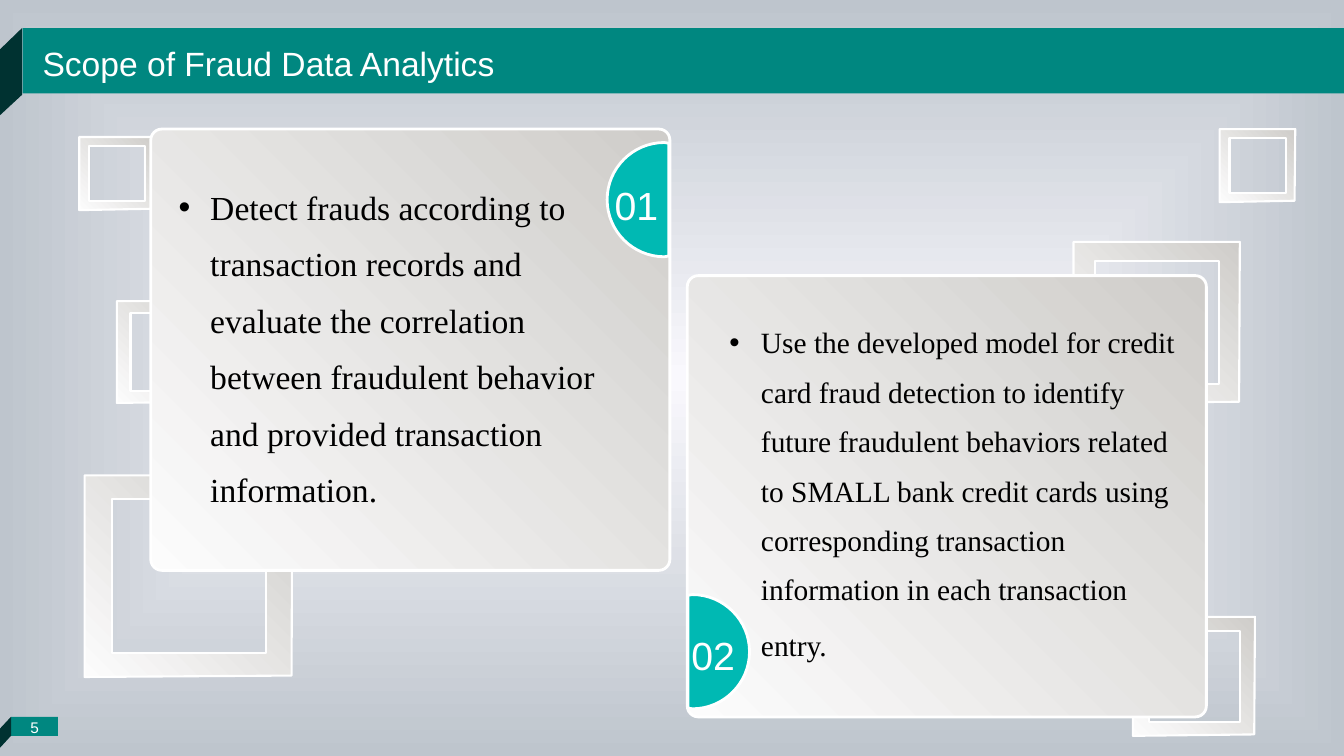
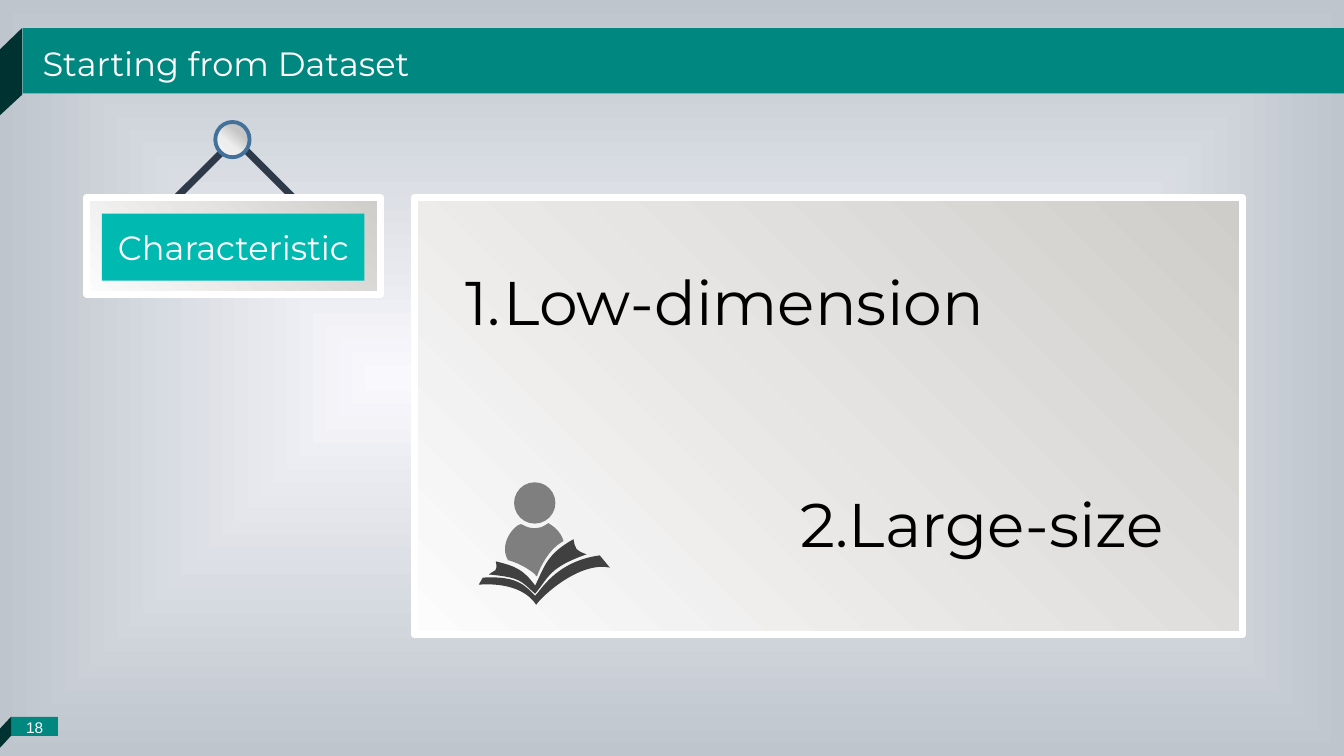
from dataclasses import dataclass

from lxml import etree
from pptx import Presentation
from pptx import util as u
from pptx.dml.color import RGBColor
from pptx.enum import shapes, text
from pptx.oxml.ns import qn

HUES = {
    "band": "008780", "fold": "003231", "teal": "00B9B3", "sign": "00B9B1",
    "white": "FFFFFF", "black": "000000", "rope": "2E3A49", "ring": "42719B",
    "page": "404040", "body": "7F7F7F",
}
SANS, SERIF, ROUND = "Arial", "Times New Roman", "Montserrat"
KINDS = shapes.MSO_SHAPE
ALIGN = text.PP_ALIGN


@dataclass(frozen=True)
class Grad:
    stops: tuple
    angle: float | None = None  # None gives a rectangular gradient


@dataclass(frozen=True)
class Box:
    left: float
    top: float
    width: float
    height: float

    def pts(self) -> list:
        return [u.Pt(n) for n in (self.left, self.top, self.width, self.height)]


@dataclass(frozen=True)
class Card:
    box: Box
    body: Box
    words: str
    size: float
    hub: tuple  # centre of the half disc
    side: int  # 1: flat edge on the right, -1: on the left
    label: str
    spot: Box
    tail: float = 0  # size of a closing hard space


SKY = Grad(((0, "F9F8FD"), (100, "BEC5CD")))
SILVER = Grad(((0, "FCFCFC"), (100, "CFCDCA")), 315)
KNOB = Grad(((0, "BFBFBF"), (30, "C6C6C6"), (61, "EEEEEE"), (100, "F4F4F4")), 130)

FRAMES = [
    Box(809.3, 440.6, 87.1, 85), Box(766.8, 172.8, 118.8, 115.2),
    Box(56.6, 97.9, 54, 52.2), Box(83.5, 215.1, 74.9, 72.7),
    Box(60.5, 339.6, 148.3, 144), Box(871.2, 92.2, 54, 52.2),
]
CARDS = [
    Card(Box(107.7, 92.2, 370.8, 315.2), Box(120.6, 118.4, 329, 247.7),
         "Detect frauds according to transaction records and evaluate the "
         "correlation between fraudulent behavior and provided transaction "
         "information.",
         24, (474.5, 142.6), 1, "01", Box(432, 126, 47.5, 41)),
    Card(Box(490.9, 196.9, 370.8, 315.2), Box(514, 218.2, 338.4, 257.8),
         "Use the developed model for credit card fraud detection to identify "
         "future fraudulent behaviors related to SMALL bank credit cards using "
         "corresponding transaction information in each transaction entry.",
         21, (494.6, 465.5), -1, "02", Box(486.7, 447.1, 47.5, 41), 24),
]
RADIUS = 40.8

# Outlines: two numbers are a corner, six are a Bezier curve.
LEAVES = [
    (409.7, 385.2),
    (390.2, 396, 388.8, 405.4, 382.3, 418.3),
    (373.7, 406.8, 368.6, 404.6, 354.2, 401),
    (355.7, 409, 353.5, 406.8, 349.2, 410.4),
    (372.2, 412.6, 371.5, 414.7, 382.3, 424.1),
    (392.4, 411.8, 392.4, 405.4, 419, 396),
    (411.1, 393.1, 411.1, 392.4, 409.7, 385.2),
]
COVER = [
    (428.4, 396.7),
    (396.7, 401, 385.9, 422.6, 382.3, 425.5),
    (375.1, 418.3, 369.4, 411.1, 344.9, 412.6),
    (342, 417.6),
    (362.2, 416.2, 376.6, 421.9, 383, 432),
    (387.4, 425.5, 414, 401, 435.6, 405.4),
]
TORSO = [
    (391.7, 373.7), (393.8, 375.1),
    (397.4, 377.3, 400.3, 380.9, 401.8, 384.5),
    (402.5, 386.6), (401, 387.4),
    (392.4, 392.4, 385.9, 404.6, 383.8, 411.1),
    (383, 411.8), (382.3, 410.4),
    (377.3, 406.1, 370.8, 402.5, 363.6, 400.3),
    (362.9, 400.3),
    (361.4, 397.4, 360.7, 395.3, 360.7, 392.4),
    (360.7, 385.2, 365, 378.7, 370.1, 375.1),
    (372.2, 374.4), (373.7, 375.1),
    (376.6, 376.6, 378.7, 377.3, 381.6, 377.3),
    (384.5, 377.3, 387.4, 376.6, 389.5, 375.1),
]


def shade(fill, root, grad: Grad) -> None:
    """Give the fill, found below root, a gradient."""
    fill.gradient()
    node = root.find(".//" + qn("a:gradFill"))
    node.clear()
    node.set("rotWithShape", "1")
    stops = etree.SubElement(node, qn("a:gsLst"))
    for place, hue in grad.stops:
        stop = etree.SubElement(stops, qn("a:gs"), pos=str(place * 1000))
        etree.SubElement(stop, qn("a:srgbClr"), val=hue)
    if grad.angle is None:
        rect = etree.SubElement(node, qn("a:path"), path="rect")
        etree.SubElement(rect, qn("a:fillToRect"),
                         l="50000", t="-80000", r="50000", b="-80000")
    else:
        etree.SubElement(node, qn("a:lin"), ang=str(grad.angle * 60000), scaled="0")


def paint(shape, fill: str | Grad, line: str | None = None, width: float = 0):
    shape.shadow.inherit = False
    if isinstance(fill, Grad):
        shade(shape.fill, shape._element.spPr, fill)
    else:
        shape.fill.solid()
        shape.fill.fore_color.rgb = RGBColor.from_string(HUES[fill])
    if line:
        shape.line.color.rgb = RGBColor.from_string(HUES[line])
        shape.line.width = u.Pt(width)
    else:
        shape.line.fill.background()
    return shape


def block(slide, box: Box, fill: str | Grad, line: str | None = None,
          width: float = 0, kind=KINDS.RECTANGLE):
    return paint(slide.shapes.add_shape(kind, *box.pts()), fill, line, width)


def bend(shape, steps: list) -> None:
    """Turn the line segments that stand for curves into curves."""
    lines = list(shape._element.iter(qn("a:lnTo")))
    for line, step in zip(lines, steps):
        if len(step) == 6:
            curve = etree.Element(qn("a:cubicBezTo"))
            for x, y in zip(step[::2], step[1::2]):
                etree.SubElement(curve, qn("a:pt"), x=str(u.Pt(x) - shape.left),
                                 y=str(u.Pt(y) - shape.top))
            line.getparent().replace(line, curve)


def free(slide, loops: list, fill: str | Grad, line: str | None = None,
         width: float = 0):
    ends = [[(u.Pt(step[-2]), u.Pt(step[-1])) for step in loop] for loop in loops]
    pen = slide.shapes.build_freeform(*ends[0][0])
    pen.add_line_segments(ends[0][1:])
    for dots in ends[1:]:
        pen.move_to(*dots[0])
        pen.add_line_segments(dots[1:])
    shape = pen.convert_to_shape()
    bend(shape, [step for loop in loops for step in loop[1:]])
    return paint(shape, fill, line, width)


def write(shape, words: str, *, size: float, font: str = SANS,
          hue: str = "white", align=ALIGN.LEFT, more: bool = False,
          wrap: bool = True, pad: tuple = (7.2, 3.6), space: float = 1,
          before: float = 0, mark: str = "", indent: float = 0,
          tail: float = 0) -> None:
    """Write one paragraph; with more set, add it below the text there is."""
    frame = shape.text_frame
    frame.auto_size = text.MSO_AUTO_SIZE.NONE
    frame.word_wrap = wrap
    frame.vertical_anchor = text.MSO_ANCHOR.TOP
    frame.margin_left = frame.margin_right = u.Pt(pad[0])
    frame.margin_top = frame.margin_bottom = u.Pt(pad[1])
    para = frame.add_paragraph() if more else frame.paragraphs[0]
    para.alignment = align
    para.line_spacing = space
    if before:
        para.space_before = u.Pt(before)
    if mark:
        props = para._p.get_or_add_pPr()
        props.set("marL", str(u.Pt(indent)))
        props.set("indent", str(-u.Pt(indent)))
        if mark == "1.":
            etree.SubElement(props, qn("a:buFont"), typeface="+mj-lt")
            etree.SubElement(props, qn("a:buAutoNum"), type="arabicPeriod")
        else:
            etree.SubElement(props, qn("a:buFont"), typeface=SANS)
            etree.SubElement(props, qn("a:buChar"), char=mark)
    parts = [(words, size), (" ", tail)] if tail else [(words, size)]
    for part, high in parts:
        run = para.add_run()
        run.text = part
        run.font.size = u.Pt(high)
        run.font.name = font
        run.font.color.rgb = RGBColor.from_string(HUES[hue])


def note(slide, box: Box, words: str, **form):
    shape = slide.shapes.add_textbox(*box.pts())
    write(shape, words, **form)
    return shape


def dress(slide, title: str, number: int, font: str) -> None:
    """Draw the title band and the page tag."""
    block(slide, Box(16.2, 20, 943.8, 46.8), "band")
    block(slide, Box(7.9, 512, 33.5, 13.7), "band")
    free(slide, [[(7.9, 512), (-1.4, 522), (-1.4, 535.7), (7.9, 525.6)]], "fold")
    note(slide, Box(8.3, 507.6, 33, 23), str(number), size=11,
         align=ALIGN.CENTER, wrap=False, pad=(9.4, 5))
    free(slide, [[(0, 35.3), (0, 82.3), (15.8, 67.7), (15.8, 20)]], "fold")
    head = slide.shapes.title
    head.left, head.top, head.width, head.height = Box(23.2, 26.8, 347, 36).pts()
    write(head, title, size=24, font=font, wrap=False)
    slide.shapes._spTree.append(head._element)  # in front of the band


def frame(slide, box: Box) -> None:
    left, top, wide, high = box.left, box.top, box.width, box.height
    right, low = left + wide, top + high
    x1, x2 = left + 0.13 * wide, right - 0.125 * wide
    y1, y2 = top + 0.118 * high, low - 0.12 * high
    hole = [(x1, y1), (x1, y2), (x2, y2), (x2, y1), (x1, y1)]
    edge = [(left, top), (right, top), (right - 0.5, low - 1), (left, low),
            (left, top)]
    free(slide, [hole, edge], SILVER, "white", 1.5)


def draw(slide, card: Card) -> None:
    plate = block(slide, card.box, SILVER, "white", 2, KINDS.ROUNDED_RECTANGLE)
    plate.adjustments[0] = 0.025
    note(slide, card.body, card.words, size=card.size, font=SERIF, hue="black",
         space=1.4, mark="•", indent=22.5, tail=card.tail)
    x, y = card.hub
    top, low, rim = y - RADIUS, y + RADIUS, x - card.side * RADIUS
    flat, pull = x + card.side * 3.2, 0.55 * RADIUS
    near = x - card.side * pull
    free(slide, [[(x, top), (flat, top + 0.5), (flat, low - 0.5), (x, low),
                  (near, low, rim, y + pull, rim, y),
                  (rim, y - pull, near, top, x, top)]], "teal", "white", 2)
    note(slide, card.spot, card.label, size=28, wrap=False)


def rope(slide, *ends: float) -> None:
    line = slide.shapes.add_connector(shapes.MSO_CONNECTOR.STRAIGHT,
                                      *[u.Pt(n) for n in ends])
    line.line.color.rgb = RGBColor.from_string(HUES["rope"])
    line.line.width = u.Pt(5)
    etree.SubElement(line._element.spPr, qn("a:effectLst"))


def scope(slide) -> None:
    for box in FRAMES:
        frame(slide, box)
    for card in CARDS:
        draw(slide, card)
    dress(slide, "Scope of Fraud Data Analytics", 5, SANS)


def data(slide) -> None:
    block(slide, Box(296, 141.1, 591.4, 312.5), SILVER, "white", 5)
    form = dict(size=44, font=ROUND, hue="black", space=1.5, mark="1.", indent=27)
    points = note(slide, Box(325.4, 158.4, 513.3, 319), "Low-dimension",
                  align=ALIGN.JUSTIFY, **form)
    write(points, "Large-size", align=ALIGN.RIGHT, more=True, before=79.3, **form)
    rope(slide, 164.2, 103, 126, 141.1)
    rope(slide, 170.6, 102.2, 208.8, 140.4)
    block(slide, Box(61.9, 141.1, 209.9, 69.1), SILVER, "white", 5)
    block(slide, Box(72.7, 152.5, 187.6, 48), "sign")
    block(slide, Box(153.8, 87.1, 24.5, 25.2), KNOB, "ring", 2.75, KINDS.OVAL)
    note(slide, Box(61.9, 158.4, 209.5, 36.7), "Characteristic", size=24,
         font=ROUND, align=ALIGN.CENTER)
    dress(slide, "Starting from Dataset", 18, ROUND)
    for loop, hue in ((LEAVES, "page"), (COVER, "page"), (TORSO, "body")):
        free(slide, [loop], hue)
    block(slide, Box(367.2, 344.5, 29.5, 29.5), "body", kind=KINDS.OVAL)


def main() -> None:
    deck = Presentation()
    deck.slide_width, deck.slide_height = u.Pt(960), u.Pt(540)
    master = deck.slide_master
    shade(master.background.fill, master.element, SKY)
    for build in (scope, data):
        build(deck.slides.add_slide(deck.slide_layouts[5]))
    deck.save("out.pptx")


if __name__ == "__main__":
    main()
